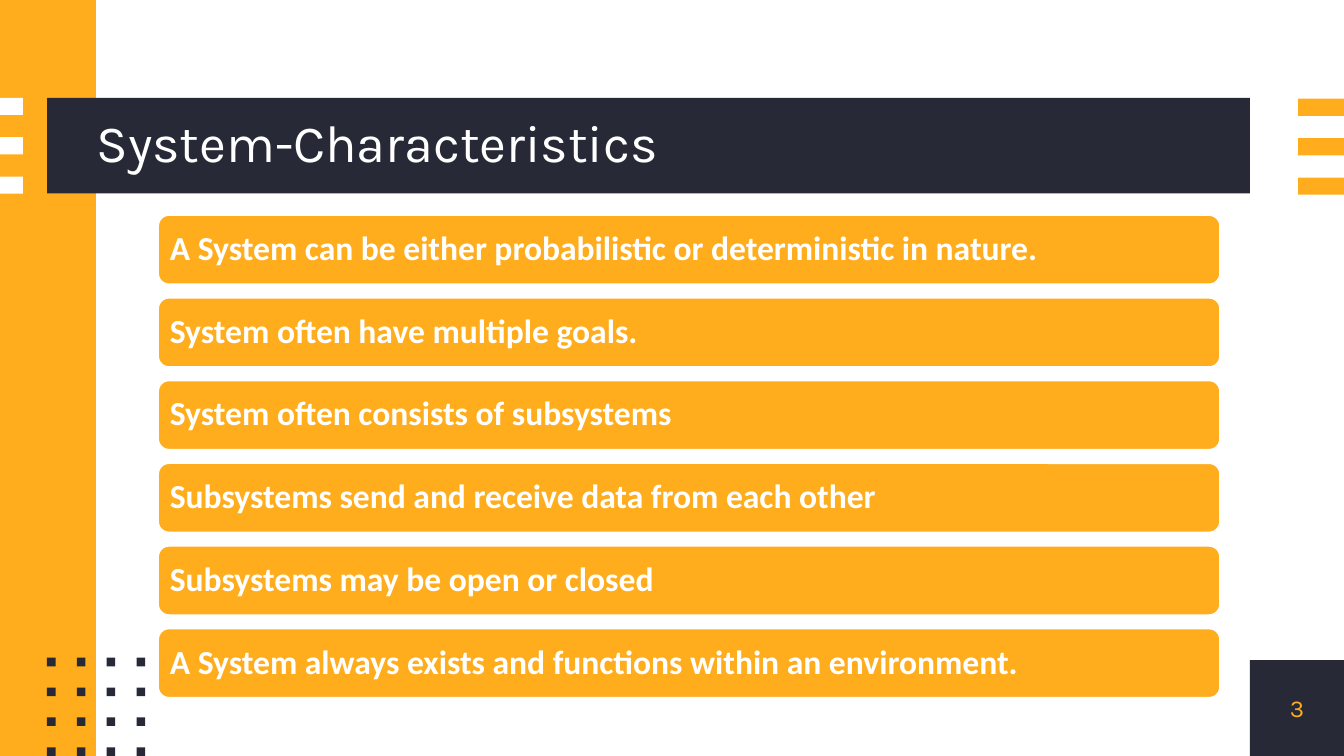
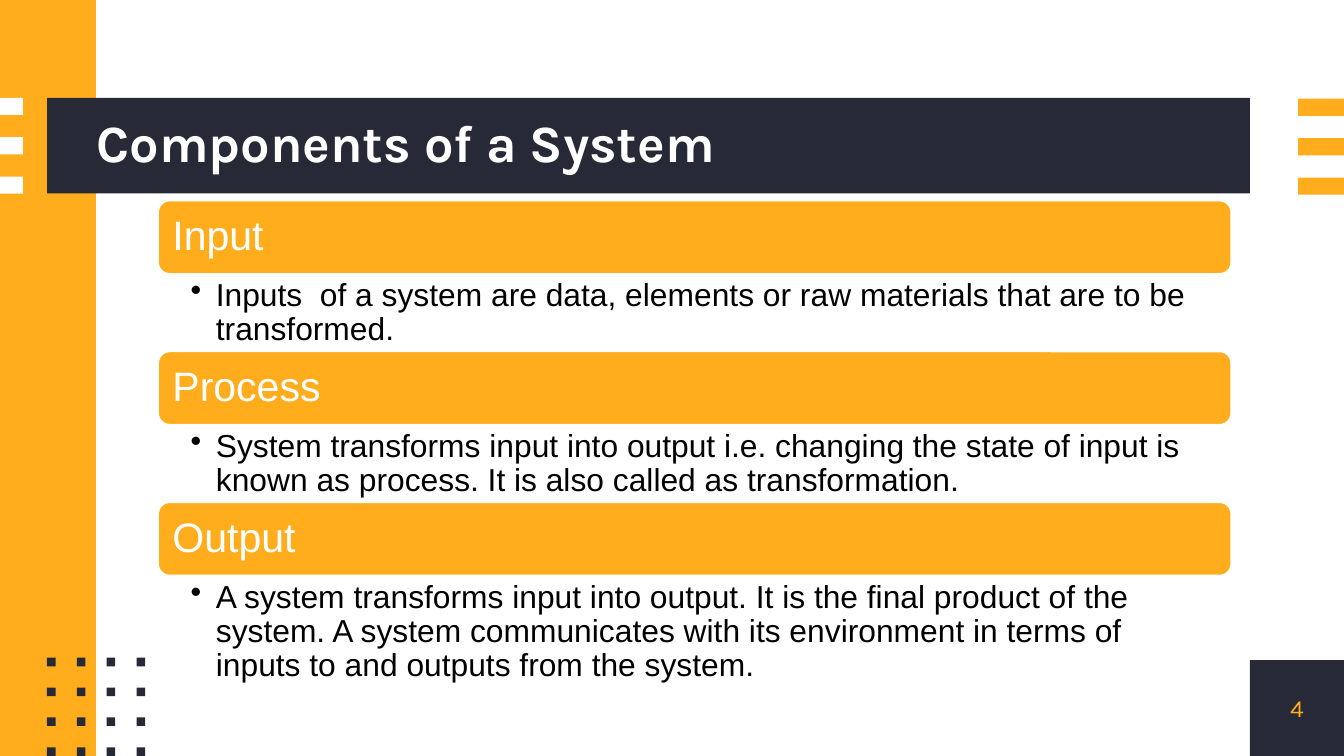
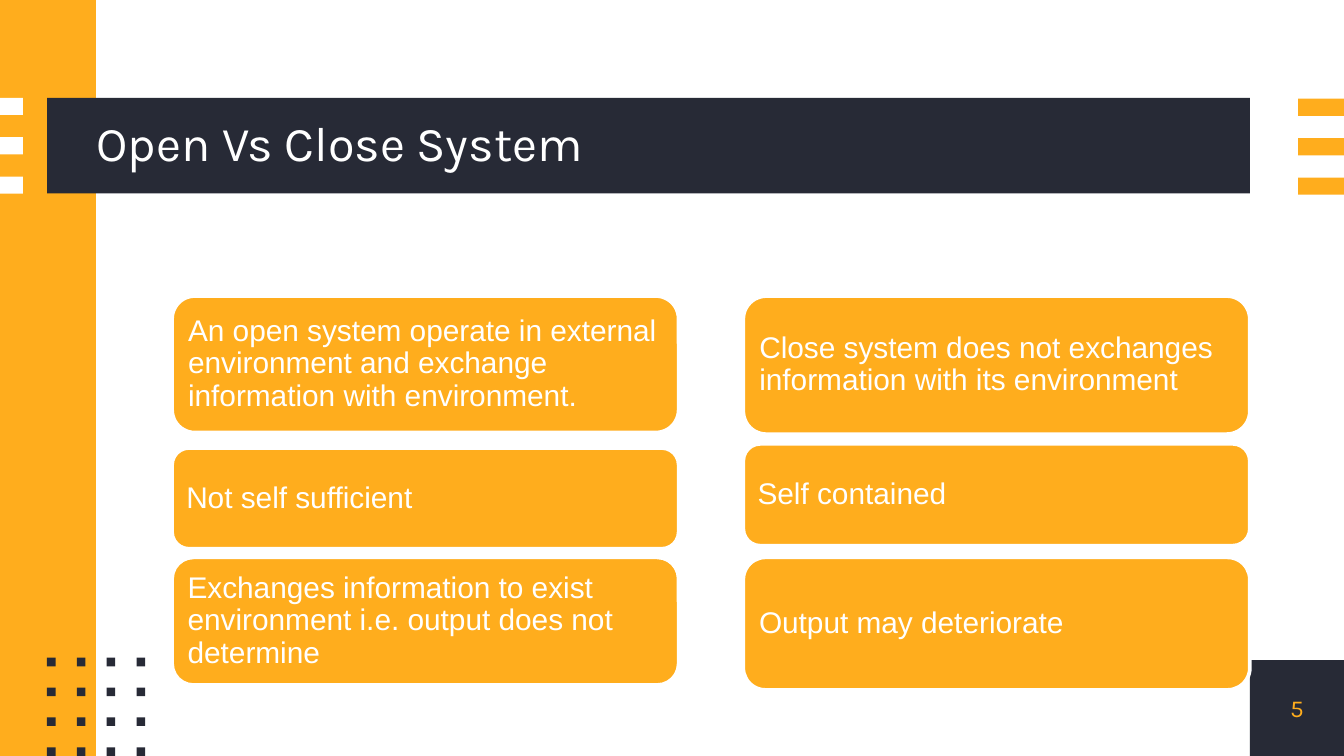
from dataclasses import dataclass

from lxml.etree import SubElement
from pptx import Presentation
from pptx.dml.color import RGBColor
from pptx.enum.shapes import MSO_SHAPE
from pptx.enum.text import MSO_ANCHOR, PP_ALIGN
from pptx.oxml.ns import qn
from pptx.util import Pt

CHARACTERISTICS = [
    "A System can be either probabilistic or deterministic in nature.",
    "System often have multiple goals.",
    "System often consists of subsystems",
    "Subsystems send and receive data from each other",
    "Subsystems may be open or closed",
    "A System always exists and functions within an environment.",
]

COMPONENTS = [
    ("Input", "Inputs  of a system are data, elements or raw materials that are to be transformed."),
    ("Process", "System transforms input into output i.e. changing the state of input is known as "
                "process. It is also called as transformation."),
    ("Output", "A system transforms input into output. It is the final product of the system. "
               "A system communicates with its environment in terms of inputs to and outputs "
               "from the system."),
]

OPEN_SYSTEM = [
    ("An open system operate in external environment and exchange information with environment.",
     158.6, 73.2),
    ("Not self sufficient", 240, 54),
    ("Exchanges information to exist environment i.e. output does not determine", 298.6, 68.4),
]

CLOSE_SYSTEM = [
    ("Close system does not exchanges information with its environment", 158.6, 74),
    ("Self contained", 237.8, 54.6),
    ("Output may deteriorate", 298.6, 71),
]


@dataclass(frozen=True)
class Theme:
    amber: RGBColor = RGBColor(0xFF, 0xAD, 0x1D)
    navy: RGBColor = RGBColor(0x27, 0x2A, 0x36)
    white: RGBColor = RGBColor(0xFF, 0xFF, 0xFF)
    black: RGBColor = RGBColor(0, 0, 0)
    display_font: str = "Karla"
    list_font: str = "Calibri"
    body_font: str = "Arial"
    title_size: int = 28
    small_title_size: int = 26
    heading_size: int = 22
    list_size: int = 18
    body_size: int = 17
    card_size: int = 16
    number_size: int = 13


THEME = Theme()
WIDTH, HEIGHT = 720, 405
BAND_LEFT, BAND_TOP, BAND_HEIGHT = 25.2, 52.4, 51.2
CORNER_LEFT, CORNER_TOP = 669.6, 353.6
STRIPE_HEIGHT, STRIPE_PITCH = 9.2, 21.1
DOT_TOP, DOT_SIZE, DOT_PITCH = 352.4, 4.6, 16
CONTENT_LEFT = 84.2


def write(shape, text, font_name, size, color, bold=False, insets=(0, 0, 0, 0),
          anchor=MSO_ANCHOR.MIDDLE, align=PP_ALIGN.LEFT, line_spacing=0.9, bullet=False):
    text_frame = shape.text_frame
    text_frame.text = text
    text_frame.word_wrap = True
    text_frame.vertical_anchor = anchor
    (text_frame.margin_left, text_frame.margin_top,
     text_frame.margin_right, text_frame.margin_bottom) = map(Pt, insets)
    paragraph = text_frame.paragraphs[0]
    paragraph.alignment = align
    paragraph.line_spacing = line_spacing
    if bullet:
        paragraph.level = 1
        properties = paragraph._p.get_or_add_pPr()
        properties.set("marL", str(Pt(13.5)))
        properties.set("indent", str(-Pt(13.5)))
        SubElement(properties, qn("a:buChar")).set("char", "•")
    font = paragraph.runs[0].font
    font.name = font_name
    font.size = Pt(size)
    font.bold = bold
    font.color.rgb = color


def add_block(slide, left, top, width, height, color, kind=MSO_SHAPE.RECTANGLE):
    shape = slide.shapes.add_shape(kind, Pt(left), Pt(top), Pt(width), Pt(height))
    shape.shadow.inherit = False
    shape.fill.solid()
    shape.fill.fore_color.rgb = color
    shape.line.fill.background()
    return shape


def add_text(slide, left, top, width, height, *content, **style):
    box = slide.shapes.add_textbox(Pt(left), Pt(top), Pt(width), Pt(height))
    write(box, *content, **style)


def add_card(slide, left, top, width, height, text, font_name, size, bold=False, inset=5):
    card = add_block(slide, left, top, width, height, THEME.amber, MSO_SHAPE.ROUNDED_RECTANGLE)
    card.line.color.rgb = THEME.white
    card.line.width = Pt(2)
    write(card, text, font_name, size, THEME.white, bold, (inset,) * 4)


def add_framed_slide(presentation, number, title, title_size=THEME.title_size, bold=False):
    slide = presentation.slides.add_slide(presentation.slide_layouts[6])
    corner = add_block(slide, CORNER_LEFT, CORNER_TOP, WIDTH - CORNER_LEFT,
                       HEIGHT - CORNER_TOP, THEME.navy)
    write(corner, str(number), THEME.display_font, THEME.number_size, THEME.amber,
          align=PP_ALIGN.CENTER, line_spacing=1)
    add_block(slide, 0, 0, 51.4, HEIGHT, THEME.amber)
    add_block(slide, BAND_LEFT, BAND_TOP, CORNER_LEFT - BAND_LEFT, BAND_HEIGHT, THEME.navy)
    for index in range(3):
        top = BAND_TOP + index * STRIPE_PITCH
        add_block(slide, 0, top, 12.3, STRIPE_HEIGHT, THEME.white)
        add_block(slide, 695.4, top + 0.5, WIDTH - 695.4, STRIPE_HEIGHT, THEME.amber)
    for row in range(4):
        for column in range(4):
            add_block(slide, BAND_LEFT + column * DOT_PITCH, DOT_TOP + row * DOT_PITCH,
                      DOT_SIZE, DOT_SIZE, THEME.navy)
    add_text(slide, 51.8, BAND_TOP, CORNER_LEFT - 51.8, BAND_HEIGHT,
             title, THEME.display_font, title_size, THEME.white, bold=bold)
    return slide


def build_characteristics(presentation):
    slide = add_framed_slide(presentation, 3, "System-Characteristics")
    for index, text in enumerate(CHARACTERISTICS):
        add_card(slide, CONTENT_LEFT, 114.7 + index * 44.3, 570, 38.2,
                 text, THEME.list_font, THEME.list_size, bold=True)


def build_components(presentation):
    slide = add_framed_slide(presentation, 4, "Components of a System", bold=True)
    heading_height, width = 40.4, 576
    for index, (heading, description) in enumerate(COMPONENTS):
        top = 106.9 + index * 2 * heading_height
        is_last = index == len(COMPONENTS) - 1
        add_card(slide, CONTENT_LEFT, top, width, heading_height,
                 heading, THEME.body_font, THEME.heading_size, inset=6.3)
        add_text(slide, CONTENT_LEFT, top + heading_height, width,
                 79.2 if is_last else heading_height,
                 description, THEME.body_font, THEME.body_size, THEME.black,
                 insets=(18, 2.2, 12, 2.2), anchor=MSO_ANCHOR.TOP, bullet=True)


def build_comparison(presentation):
    slide = add_framed_slide(presentation, 5, "Open Vs Close System", THEME.small_title_size)
    for left, cards in ((92.2, OPEN_SYSTEM), (398.2, CLOSE_SYSTEM)):
        for text, top, height in cards:
            add_card(slide, left, top, 271.4, height, text, THEME.body_font, THEME.card_size)


def main():
    presentation = Presentation()
    presentation.slide_width = Pt(WIDTH)
    presentation.slide_height = Pt(HEIGHT)
    build_characteristics(presentation)
    build_components(presentation)
    build_comparison(presentation)
    presentation.save("out.pptx")


if __name__ == "__main__":
    main()
